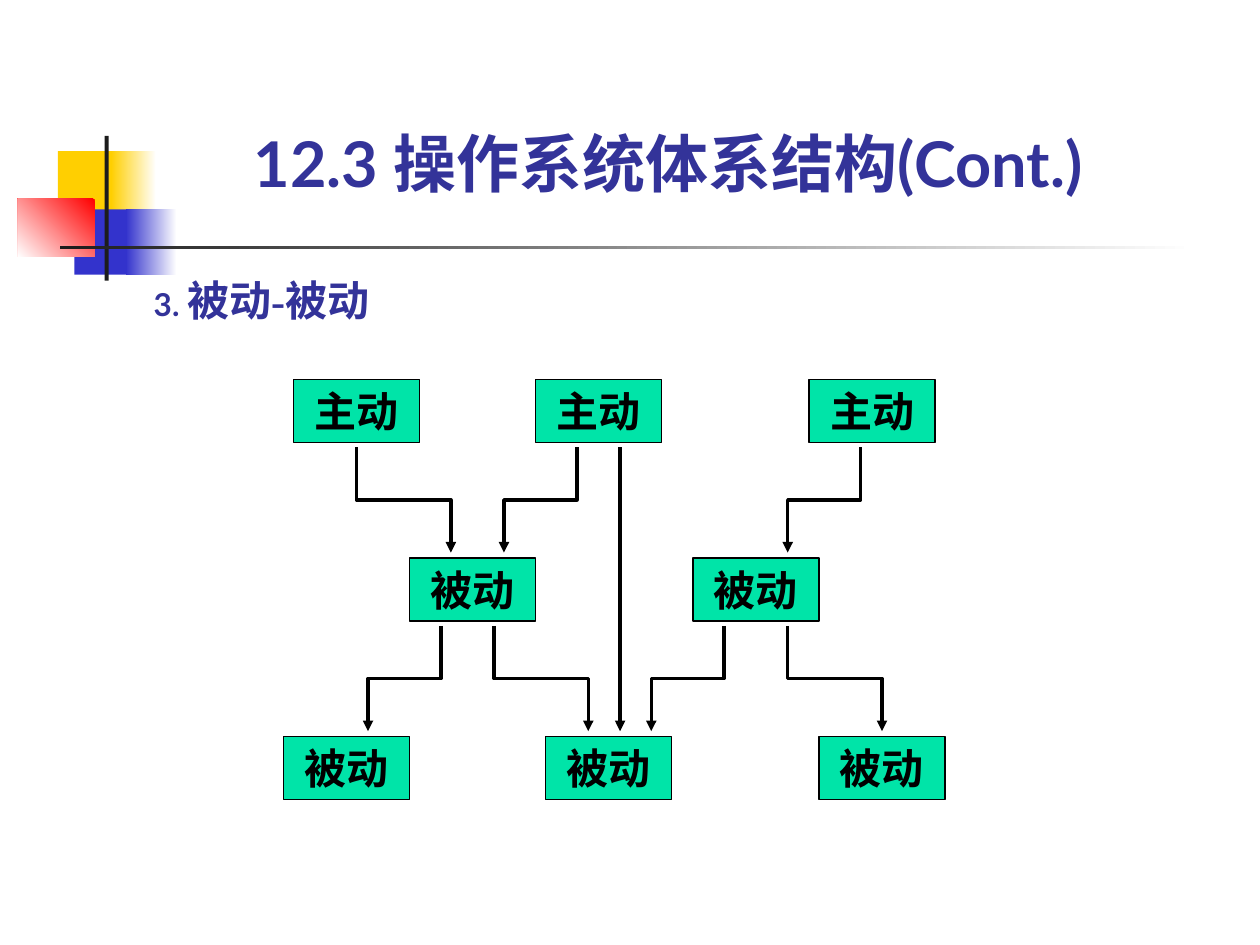
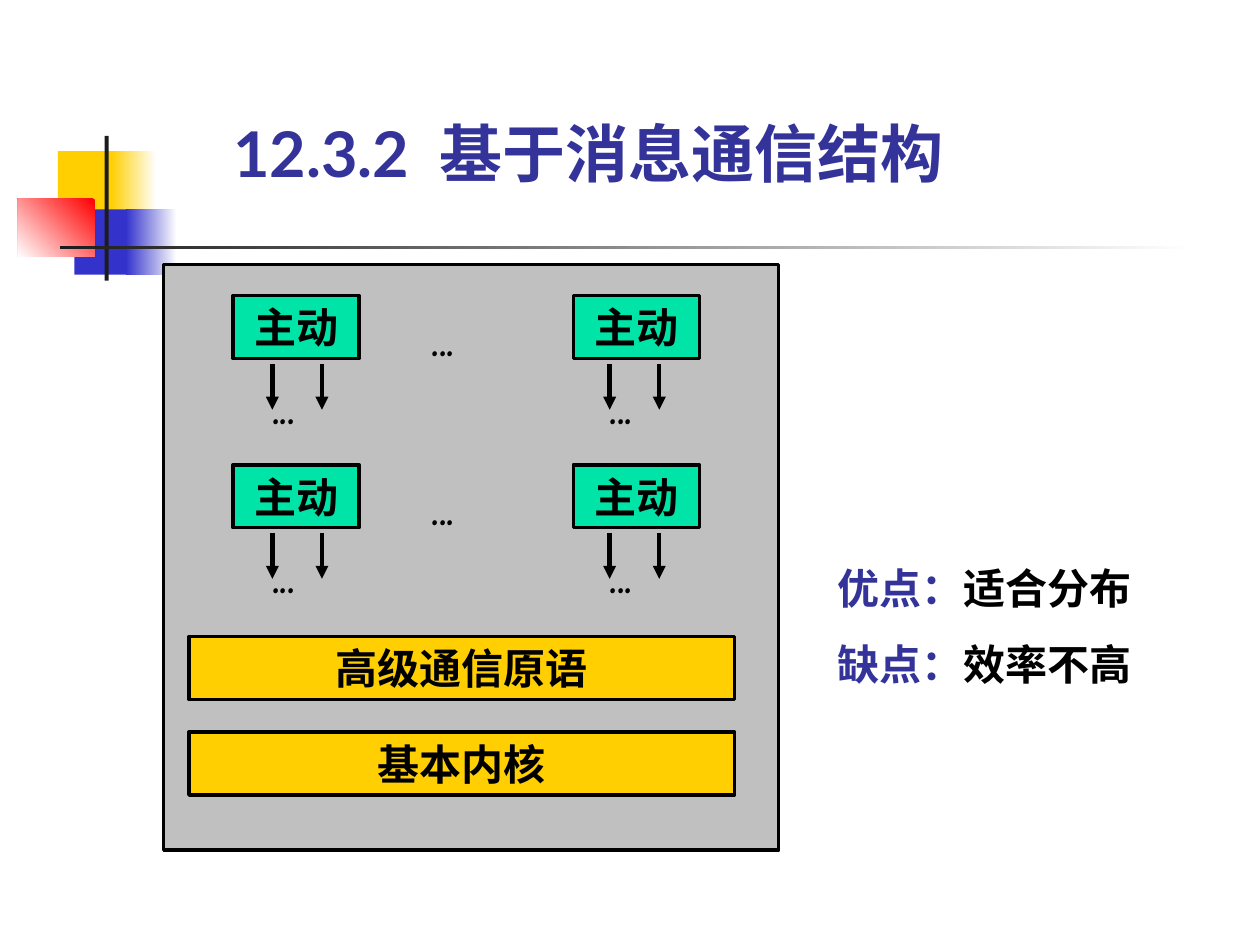
import pptx
import pptx.util
import pptx.dml.color
import pptx.enum.shapes
import pptx.enum.text
import pptx.oxml
import pptx.oxml.ns

Cm = pptx.util.Cm
Pt = pptx.util.Pt
RECT = pptx.enum.shapes.MSO_SHAPE.RECTANGLE
ALIGN = pptx.enum.text.PP_ALIGN
ANCHOR = pptx.enum.text.MSO_ANCHOR

HUES = {
    "ink": "000000",
    "navy": "333399",
    "green": "00E4A8",
    "gold": "FFCF01",
    "grey": "C0C0C0",
    "blue": "3333CC",
    "red": "FF0000",
    "dark": "1C1C1C",
    "white": "FFFFFF",
}


def tint(name):
    return pptx.dml.color.RGBColor.from_string(HUES[name])


class Deck:
    def __init__(self):
        self.prs = pptx.Presentation()
        self.prs.slide_width = Cm(25.4)
        self.prs.slide_height = Cm(19.05)
        self.slide = None

    def page(self, title, left, top, width):
        self.slide = self.prs.slides.add_slide(self.prs.slide_layouts[5])
        self.motif()
        head = self.slide.shapes.title
        head.left, head.top = Cm(left), Cm(top)
        head.width, head.height = Cm(width), Cm(1.52)
        self.inset(head.text_frame)
        head.text_frame.vertical_anchor = ANCHOR.BOTTOM
        para = head.text_frame.paragraphs[0]
        para.text = title
        para.alignment = ALIGN.LEFT
        self.style(para.runs[0], "navy", 36, "Lato")

    def motif(self):
        self.rect(1.17, 3.05, 1.22, 1.32, "gold")
        self.fade(2.24, 3.05, 0.91, 1.32, "white", "gold")
        self.rect(1.5, 4.22, 1.17, 1.32, "blue")
        self.fade(2.54, 4.22, 1.02, 1.32, "white", "blue")
        self.fade(0.36, 4.01, 1.55, 1.17, "red", "white", 225)
        self.rect(2.11, 2.74, 0.08, 2.92, "dark")
        self.fade(1.22, 4.95, 22.86, 0.08, "white", "dark")

    def inset(self, frame):
        frame.word_wrap = True
        frame.margin_left = frame.margin_right = 0
        frame.margin_top = frame.margin_bottom = 0

    def style(self, run, hue, size=24, face="Times New Roman"):
        font = run.font
        font.name, font.size, font.bold = face, Pt(size), True
        font.color.rgb = tint(hue)

    def rect(self, left, top, width, height, hue, edge=None):
        shape = self.slide.shapes.add_shape(
            RECT, Cm(left), Cm(top), Cm(width), Cm(height))
        shape.shadow.inherit = False
        shape.fill.solid()
        shape.fill.fore_color.rgb = tint(hue)
        if edge:
            self.stroke(shape, edge)
        else:
            shape.line.fill.background()
        return shape

    def fade(self, left, top, width, height, start, end, angle=180):
        fill = self.rect(left, top, width, height, start).fill
        fill.gradient()
        fill.gradient_angle = angle
        for stop, hue in zip(fill.gradient_stops, (start, end)):
            stop.color.rgb = tint(hue)

    def box(self, text, left, top, width=2.54, hue="green", edge=2):
        shape = self.rect(left, top, width, 1.27, hue, edge)
        shape.text_frame.vertical_anchor = ANCHOR.MIDDLE
        para = shape.text_frame.paragraphs[0]
        para.text = text
        para.alignment = ALIGN.CENTER
        self.style(para.runs[0], "ink")

    def note(self, lines, left, top, width, height, space=None):
        area = self.slide.shapes.add_textbox(
            Cm(left), Cm(top), Cm(width), Cm(height))
        frame = area.text_frame
        self.inset(frame)
        for row, parts in enumerate(lines):
            para = frame.add_paragraph() if row else frame.paragraphs[0]
            if row:
                para.space_before = Pt(15)
            if space:
                para.line_spacing = space
            for text, *look in parts:
                run = para.add_run()
                run.text = text
                self.style(run, *look)

    def dots(self, left, top):
        self.note([[("...", "ink", 24, "Comic Neue")]],
                  left, top, 1.4, 0.81, 0.8)

    def stroke(self, shape, width):
        shape.line.color.rgb = tint("ink")
        shape.line.width = Pt(width)

    def point(self, shape, width):
        self.stroke(shape, width)
        line = shape.element.spPr.find(pptx.oxml.ns.qn("a:ln"))
        tip = pptx.oxml.parse_xml(
            f'<a:tailEnd {pptx.oxml.ns.nsdecls("a")} type="triangle"/>')
        line.append(tip)

    def arrow(self, left, top, end, width):
        line = self.slide.shapes.add_connector(
            pptx.enum.shapes.MSO_CONNECTOR.STRAIGHT,
            Cm(left), Cm(top), Cm(left), Cm(end))
        self.point(line, width)
        line.element.spPr.append(pptx.oxml.parse_xml(
            f'<a:effectLst {pptx.oxml.ns.nsdecls("a")}/>'))

    def bend(self, start, end, top, drop=2.12):
        mid = top + drop / 2
        pen = self.slide.shapes.build_freeform(Cm(start), Cm(top))
        turns = ((start, mid), (end, mid), (end, top + drop))
        pen.add_line_segments([(Cm(x), Cm(y)) for x, y in turns], close=False)
        path = pen.convert_to_shape()
        path.shadow.inherit = False
        path.fill.background()
        self.point(path, 2)


def passive(deck):
    deck.page("12.3 操作系统体系结构(Cont.)", 5.11, 2.51, 18.8)
    deck.note([[("3. ", "navy", 18, "Lato"), ("被动-被动", "navy")]],
              3.1, 5.54, 5, 1.02)
    first, step = 7.65, 3.6
    rows = (
        ("主动", (5.92, 10.8, 16.31)),
        ("被动", (8.26, 13.97)),
        ("被动", (5.72, 11, 16.51)),
    )
    for row, (label, lefts) in enumerate(rows):
        for left in lefts:
            deck.box(label, left, first + row * step, edge=0.75)
    links = (
        ((7.19, 9.09), (11.63, 10.16), (17.35, 15.88)),
        ((8.89, 7.42), (9.96, 11.86), (14.6, 13.13), (15.88, 17.78)),
    )
    for row, pairs in enumerate(links):
        for start, end in pairs:
            deck.bend(start, end, 9.02 + row * step)
    deck.arrow(12.5, 9.02, 14.74, 2)


def message(deck):
    deck.page("12.3.2  基于消息通信结构", 4.7, 2.31, 15.6)
    deck.rect(3.3, 5.33, 12.4, 11.81, "grey", 2)
    for text, top in (("高级通信原语", 12.83), ("基本内核", 14.76)):
        deck.box(text, 3.81, top, 11, "gold")
    for top in (5.96, 9.37):
        for left, stem in ((4.7, 5.49), (11.56, 12.29)):
            deck.box("主动", left, top)
            for x in (stem, stem + 1):
                deck.arrow(x, top + 1.38, top + 2.3, 2.5)
            deck.dots(stem, top + 1.94)
        deck.dots(8.7, top + 0.57)
    deck.note([
        [("优点：", "navy"), ("适合分布", "ink")],
        [("缺点：", "navy"), ("效率不高", "ink")],
    ], 16.89, 11.33, 6.78, 2.57)


def main():
    deck = Deck()
    passive(deck)
    message(deck)
    deck.prs.save("out.pptx")


if __name__ == "__main__":
    main()
